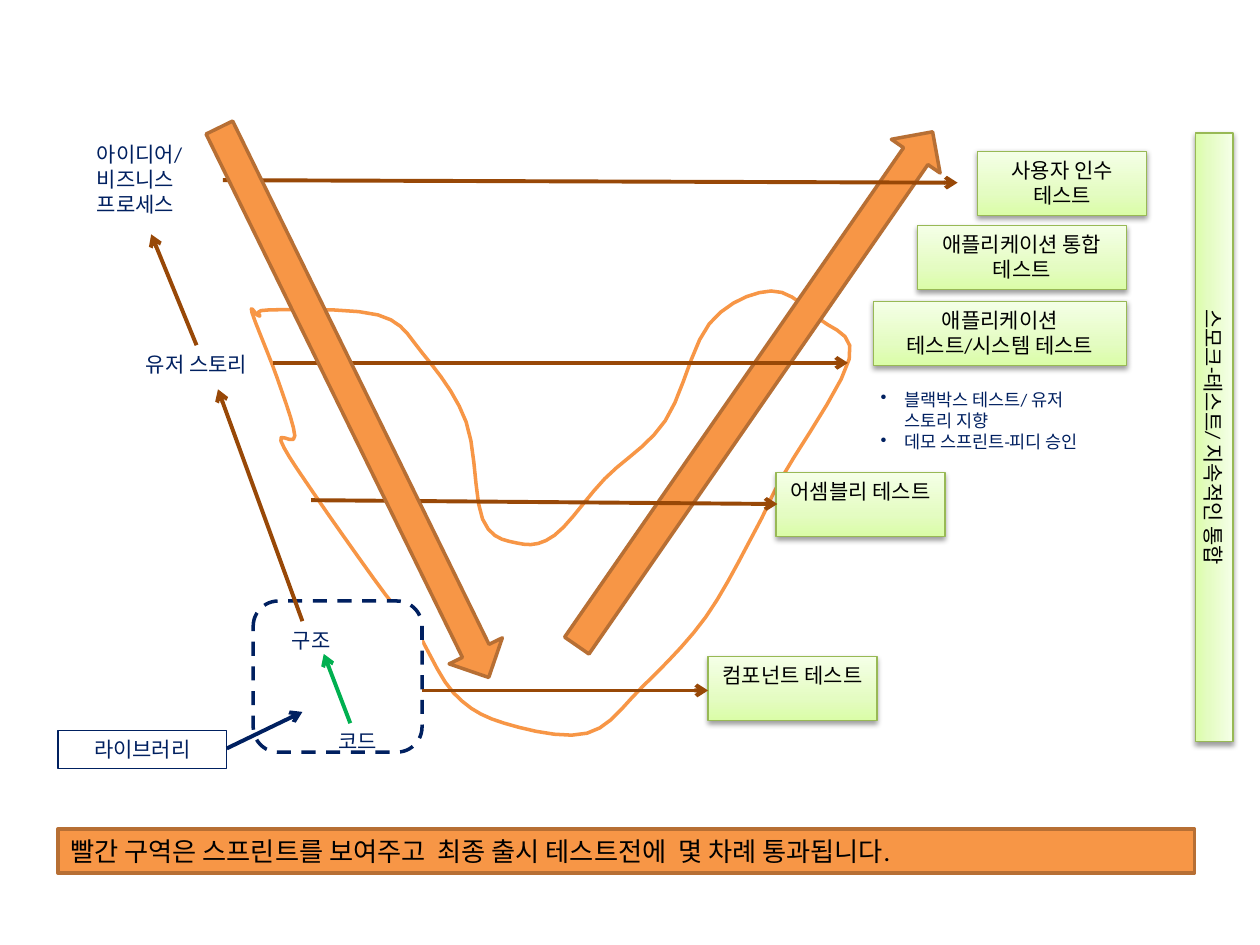
from copy import deepcopy

from lxml.etree import SubElement
from pptx import Presentation
from pptx.dml.color import RGBColor
from pptx.enum.dml import MSO_LINE
from pptx.enum.shapes import MSO_CONNECTOR, MSO_SHAPE
from pptx.enum.text import MSO_ANCHOR, PP_ALIGN
from pptx.oxml.ns import qn
from pptx.util import Inches, Pt

COLORS = {
    "orange": "F79646", "orange_edge": "B76F34", "brown": "984807",
    "navy": "002060", "green": "00B050", "black": "000000", "white": "FFFFFF",
    "lime": "DAFDA7", "lime_mid": "E4FCC2", "lime_pale": "F5FFE7", "lime_edge": "98B955",
}
WIDTH, HEIGHT = Inches(10), Inches(7.5)
COLUMNS, ROWS = 100, 75

SPRINT_OUTLINE = [
    (20, 24.8), (22, 30), (23.4, 34.6), (22.3, 35), (25, 39.3), (30.6, 47.2),
    (33, 50), (36, 55), (40, 57.4), (46.6, 58.2), (51, 54.5), (56, 49),
    (60, 42), (62, 38), (67.4, 28.5), (65, 25.3), (61.2, 23.1), (56.3, 25.7),
    (52.8, 33.4), (48, 38), (44, 42.5), (41, 43.1), (38.3, 41.2),
    (37, 33.5), (33.5, 28), (30, 25), (21.4, 24.6), (20.6, 25.1),
]
LABELS = [
    (["아이디어/", "비즈니스 프로세스"], (6.7, 10.7, 11, 7.1), PP_ALIGN.LEFT),
    (["유저 스토리"], (10.6, 27.4, 13.4, 3), PP_ALIGN.LEFT),
    (["구조"], (18, 49.3, 13.4, 3), PP_ALIGN.CENTER),
    (["코드"], (21.7, 57.3, 13.4, 3), PP_ALIGN.CENTER),
]
TEST_HEIGHT = 5.1
TESTS = [
    ("사용자 인수 테스트", (77.6, 12, 13.4, TEST_HEIGHT), 0),
    ("애플리케이션 통합 테스트", (72.8, 17.9, 16.6, TEST_HEIGHT), 0),
    ("애플리케이션 테스트/시스템 테스트", (69.3, 23.9, 20.1, TEST_HEIGHT), 0),
    ("어셈블리 테스트", (61.6, 37.5, 13.4, TEST_HEIGHT), 0),
    ("컴포넌트 테스트", (56.2, 52.1, 13.4, TEST_HEIGHT), 0),
    ("스모크-테스트/ 지속적인 통합", (72.2, 33.2, 48.3, 3), 90),
]
ARROWS = [
    ((17.7, 14.3), (76, 14.5), "brown"),
    ((21.7, 28.8), (67.3, 28.8), "brown"),
    ((24.7, 39.7), (61.7, 40), "brown"),
    ((33.5, 54.8), (56.2, 54.8), "brown"),
    ((15.6, 27.4), (12, 18.6), "brown"),
    ((24, 49.3), (17.3, 30.9), "brown"),
    ((27.8, 57.4), (25.7, 51.9), "green"),
    ((18, 59.4), (24, 56.5), "navy"),
]


def rgb(name):
    return RGBColor.from_string(COLORS[name])


def grid(*lengths):
    units = (WIDTH / COLUMNS, HEIGHT / ROWS)
    return [round(length * units[i % 2]) for i, length in enumerate(lengths)]


def smooth(corners, steps=5):
    points = []
    for i in range(len(corners)):
        around = [corners[(i + shift) % len(corners)] for shift in (-1, 0, 1, 2)]
        for step in range(steps):
            t = step / steps
            points.append([
                b + t * (c - a + t * (2 * a - 5 * b + 4 * c - d + t * (3 * (b - c) + d - a))) / 2
                for a, b, c, d in zip(*around)
            ])
    return points


def paint(shape, fill, edge, weight):
    shape.shadow.inherit = False
    if fill:
        shape.fill.solid()
        shape.fill.fore_color.rgb = rgb(fill)
    else:
        shape.fill.background()
    shape.line.color.rgb = rgb(edge)
    shape.line.width = Pt(weight)


def write(shape, lines, size, color, align):
    frame = shape.text_frame
    frame.word_wrap = True
    frame.vertical_anchor = MSO_ANCHOR.TOP
    frame.text = "\n".join(lines)
    for para in frame.paragraphs:
        para.alignment = align
        para.font.name = "Calibri"
        para.font.size = Pt(size)
        para.font.color.rgb = rgb(color)
    return frame


def add_block(page, kind, place, fill, edge, weight, rotation=0):
    block = page.shapes.add_shape(kind, *grid(*place))
    paint(block, fill, edge, weight)
    block.rotation = rotation
    return block


def add_label(page, lines, place, align, size=12):
    box = page.shapes.add_textbox(*grid(*place))
    return write(box, lines, size, "navy", align)


def add_bullets(page, lines, place):
    frame = add_label(page, lines, place, PP_ALIGN.LEFT, 10)
    for para in frame.paragraphs:
        properties = para._p.get_or_add_pPr()
        properties.set("marL", str(Inches(0.19)))
        properties.set("indent", str(-Inches(0.19)))
        bullet = properties.makeelement(qn("a:buChar"), {"char": "•"})
        properties.find(qn("a:defRPr")).addprevious(bullet)


def add_test(page, text, place, rotation):
    test = add_block(page, MSO_SHAPE.RECTANGLE, place, "lime", "lime_edge", 0.75, rotation)
    test.fill.gradient()
    test.fill.gradient_angle = 90
    first = test._element.spPr.find(".//" + qn("a:gs"))
    first.addnext(deepcopy(first))
    stops = zip(test.fill.gradient_stops, (0, 0.35, 1), ("lime", "lime_mid", "lime_pale"))
    for stop, position, color in stops:
        stop.position = position
        stop.color.rgb = rgb(color)
    effects = test._element.spPr.find(qn("a:effectLst"))
    shadow = SubElement(effects, qn("a:outerShdw"), blurRad=str(Pt(3.1)), dist=str(Pt(1.6)),
                        dir="5400000", rotWithShape="0")
    tone = SubElement(shadow, qn("a:srgbClr"), val=COLORS["black"])
    SubElement(tone, qn("a:alpha"), val="38000")
    write(test, [text], 12, "black", PP_ALIGN.CENTER)


def add_arrow(page, start, end, color):
    arrow = page.shapes.add_connector(MSO_CONNECTOR.STRAIGHT, *grid(*start, *end))
    arrow.line.color.rgb = rgb(color)
    arrow.line.width = Pt(2.25)
    SubElement(arrow.line._get_or_add_ln(), qn("a:tailEnd"), type="arrow")
    SubElement(arrow._element.spPr, qn("a:effectLst"))


def add_sprint_area(page):
    points = [grid(*point) for point in smooth(SPRINT_OUTLINE)]
    builder = page.shapes.build_freeform(*points[0])
    builder.add_line_segments(points[1:], close=True)
    paint(builder.convert_to_shape(), "white", "orange", 2)


def main():
    deck = Presentation()
    deck.slide_width, deck.slide_height = WIDTH, HEIGHT
    page = deck.slides.add_slide(deck.slide_layouts[6])

    add_sprint_area(page)
    code_area = add_block(page, MSO_SHAPE.ROUNDED_RECTANGLE, (20.1, 47.7, 13.4, 12),
                          "white", "navy", 2)
    code_area.line.dash_style = MSO_LINE.DASH
    add_block(page, MSO_SHAPE.RIGHT_ARROW, (35.1, 28.5, 49.6, 4.7),
              "orange", "orange_edge", 2, 304.7)
    for label in LABELS:
        add_label(page, *label)
    library = add_block(page, MSO_SHAPE.RECTANGLE, (4.6, 58, 13.4, 3), None, "navy", 0.75)
    write(library, ["라이브러리"], 12, "navy", PP_ALIGN.CENTER)
    for test in TESTS:
        add_test(page, *test)
    for arrow in ARROWS:
        add_arrow(page, *arrow)
    add_bullets(page, ["블랙박스 테스트/ 유저 스토리 지향", "데모 스프린트-피디 승인"],
                (68.9, 30.4, 19.7, 6.1))
    banner = add_block(page, MSO_SHAPE.RECTANGLE, (4.6, 65.8, 90.2, 3.5),
                       "orange", "orange_edge", 2)
    write(banner, ["빨간 구역은 스프린트를 보여주고  최종 출시 테스트전에  몇 차례 통과됩니다."],
          15, "black", PP_ALIGN.LEFT)
    add_block(page, MSO_SHAPE.RIGHT_ARROW, (3.8, 29.6, 48.6, 4.7),
              "orange", "orange_edge", 2, 63.9)
    deck.save("out.pptx")


main()
